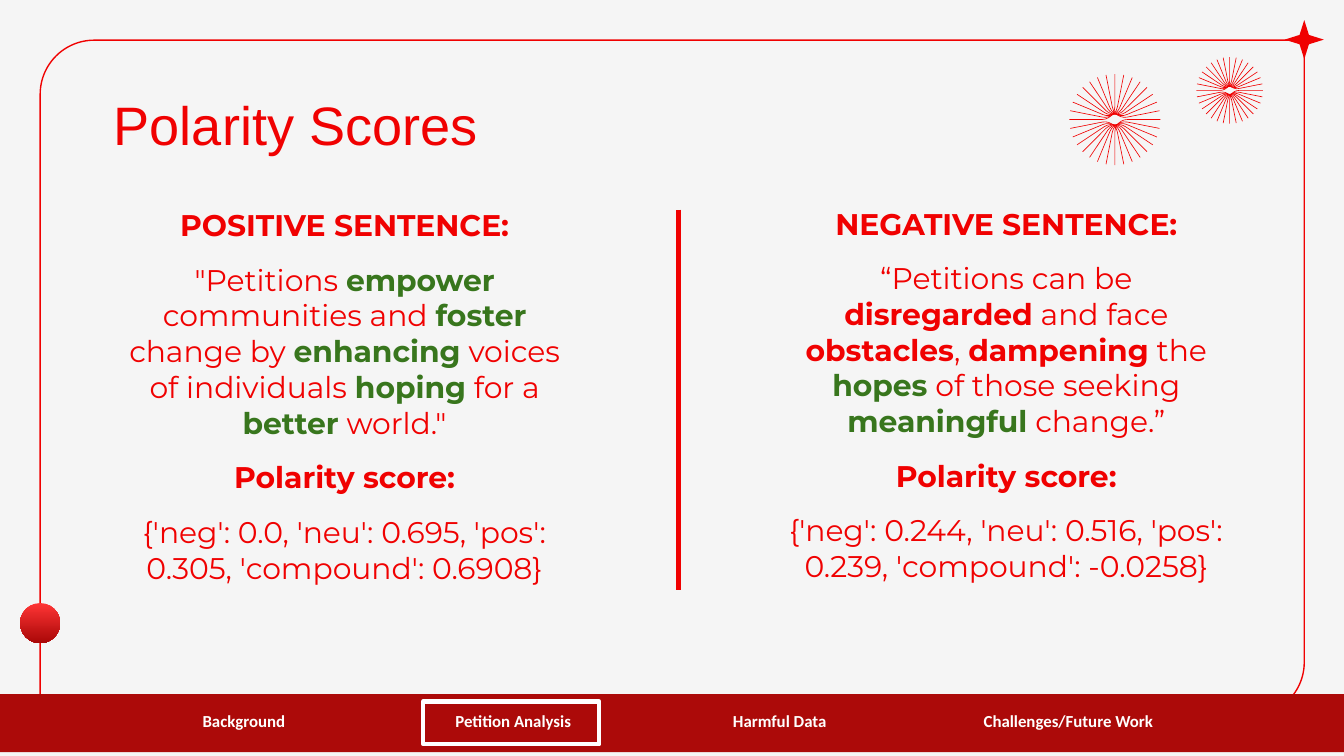
"""Build the Polarity Scores slide with two sentence columns and a section bar."""
from math import cos, radians, sin, sqrt

from lxml import etree
from pptx import Presentation
from pptx.dml.color import RGBColor
from pptx.enum.shapes import MSO_CONNECTOR, MSO_SHAPE
from pptx.enum.text import MSO_ANCHOR, PP_ALIGN
from pptx.oxml.ns import qn
from pptx.util import Cm, Pt

STRAIGHT = MSO_CONNECTOR.STRAIGHT
RECTANGLE = MSO_SHAPE.RECTANGLE
OVAL = MSO_SHAPE.OVAL
STAR = MSO_SHAPE.STAR_4_POINT
FRAME = MSO_SHAPE.ROUND_2_DIAG_RECTANGLE
LEFT, CENTER = PP_ALIGN.LEFT, PP_ALIGN.CENTER
TOP, MIDDLE = MSO_ANCHOR.TOP, MSO_ANCHOR.MIDDLE

COLORS = {
    "background": "F5F5F5",
    "red": "F00101",
    "green": "38761D",
    "bar": "AC0A09",
    "ball_top": "FE3535",
    "ball_bottom": "A90707",
    "label": "FFFFFE",
    "white": "FFFFFF",
}
COLORS = {name: RGBColor.from_string(value) for name, value in COLORS.items()}
FRAME_FORMAT = {"word_wrap": True}
FRAME_FORMAT.update({f"margin_{side}": Cm(0.25) for side in ("left", "right", "top", "bottom")})

presentation = Presentation()
presentation.slide_width, presentation.slide_height = Cm(25.4), Cm(14.29)
slide = presentation.slides.add_slide(presentation.slide_layouts[6])
slide.background.fill.solid()
slide.background.fill.fore_color.rgb = COLORS["background"]
shapes = slide.shapes


def style_shape(shape, fill=None, line=None, width=0.75):
    shape.shadow.inherit = False
    for part, color in ((shape.fill, fill), (shape.line.fill, line)):
        if color:
            part.solid()
            part.fore_color.rgb = COLORS[color]
        else:
            part.background()
    if line:
        shape.line.width = Pt(width)


def add_text(position, paragraphs, font_name, size, align=CENTER, anchor=TOP):
    text_frame = shapes.add_textbox(*map(Cm, position)).text_frame
    for name, value in {**FRAME_FORMAT, "vertical_anchor": anchor}.items():
        setattr(text_frame, name, value)
    for index, runs in enumerate(paragraphs):
        paragraph = text_frame.add_paragraph() if index else text_frame.paragraphs[0]
        paragraph.alignment = align
        if index:
            paragraph.space_before = Pt(10)
        for text, color, bold in runs:
            run = paragraph.add_run()
            run.text = text
            for name, value in {"name": font_name, "size": Pt(size), "bold": bold}.items():
                setattr(run.font, name, value)
            run.font.color.rgb = COLORS[color]


border = shapes.add_shape(FRAME, Cm(0.76), Cm(0.76), Cm(23.89), Cm(12.78))
border.adjustments[0], border.adjustments[1] = 0.08, 0
style_shape(border, line="red")

ball = shapes.add_shape(OVAL, Cm(0.38), Cm(11.4), Cm(0.76), Cm(0.76))
style_shape(ball)
ball.fill.gradient()
ball.fill.gradient_angle = 270
for stop, color, place in zip(ball.fill.gradient_stops, ("ball_top", "ball_bottom"), (0, 1)):
    stop.color.rgb = COLORS[color]
    stop.position = place

star = shapes.add_shape(STAR, Cm(24.28), Cm(0.38), Cm(0.74), Cm(0.74))
star.adjustments[0] = 0.17
style_shape(star, fill="red")

RAY_STEP = 11.25
for center_x, center_y, radius in ((21.07, 2.26, 0.86), (23.24, 1.71, 0.63)):
    bend = radius * 0.28
    for half in (0, 180):
        for ray in range(8):
            start = half + ray * RAY_STEP
            middle = radians(start + 45)
            points = [(radius * cos(radians(start)), radius * sin(radians(start)))]
            for turn in range(270, 179, -15):
                angle = radians(start + turn)
                points.append((bend * (sqrt(2) * cos(middle) + cos(angle)),
                               bend * (sqrt(2) * sin(middle) + sin(angle))))
            points.append((radius * cos(radians(start + 90)), radius * sin(radians(start + 90))))
            points = [(Cm(center_x + x), Cm(center_y + y)) for x, y in points]
            builder = shapes.build_freeform(*points[0])
            builder.add_line_segments(points[1:], close=False)
            style_shape(builder.convert_to_shape(), line="red", width=0.35)

columns = [
    ((2.03, 3.66, 8.97, 7.65), "POSITIVE SENTENCE:", [
        ('"Petitions ', "red", False), ("empower", "green", True),
        (" communities and ", "red", False), ("foster", "green", True),
        (" change by ", "red", False), ("enhancing", "green", True),
        (" voices of individuals ", "red", False), ("hoping", "green", True),
        (" for a ", "red", False), ("better", "green", True),
        (' world."', "red", False),
    ], "{'neg': 0.0, 'neu': 0.695, 'pos': 0.305, 'compound': 0.6908}"),
    ((14.6, 3.63, 8.84, 8.79), "NEGATIVE SENTENCE:", [
        ("“Petitions can be ", "red", False), ("disregarded", "red", True),
        (" and face ", "red", False), ("obstacles", "red", True),
        (", ", "red", False), ("dampening", "red", True),
        (" the ", "red", False), ("hopes", "green", True),
        (" of those seeking ", "red", False), ("meaningful", "green", True),
        (" change.”", "red", False),
    ], "{'neg': 0.244, 'neu': 0.516, 'pos': 0.239, 'compound': -0.0258}"),
]
for position, heading, sentence, scores in columns:
    add_text(position, [
        [(heading, "red", True)],
        sentence,
        [("Polarity score:", "red", True)],
        [(scores, "red", False)],
    ], "Montserrat", 16)

divider = shapes.add_connector(STRAIGHT, Cm(12.82), Cm(3.96), Cm(12.82), Cm(11.15))
divider.line.color.rgb = COLORS["red"]
divider.line.width = Pt(3)
etree.SubElement(divider._element.spPr, qn("a:effectLst"))

section_bar = shapes.add_shape(RECTANGLE, Cm(0), Cm(13.12), Cm(25.48), Cm(1.1))
style_shape(section_bar, fill="bar")
sections = [
    ("Background", 2.77, 3.68),
    ("Petition Analysis", 7.85, 3.7),
    ("Harmful Data", 12.65, 4.17),
    ("Challenges/Future Work", 17.9, 4.58),
]
for label, left, width in sections:
    add_text((left, 13.34, width, 0.58), [[(label, "label", True)]], "Calibri", 9, anchor=MIDDLE)

current_section = shapes.add_shape(RECTANGLE, Cm(8), Cm(13.26), Cm(3.33), Cm(0.81))
style_shape(current_section, line="white", width=2.25)

add_text((1.9, 1.47, 8.94, 2.67), [[("Polarity Scores", "red", False)]], "Arial", 29, align=LEFT)

presentation.save("out.pptx")
